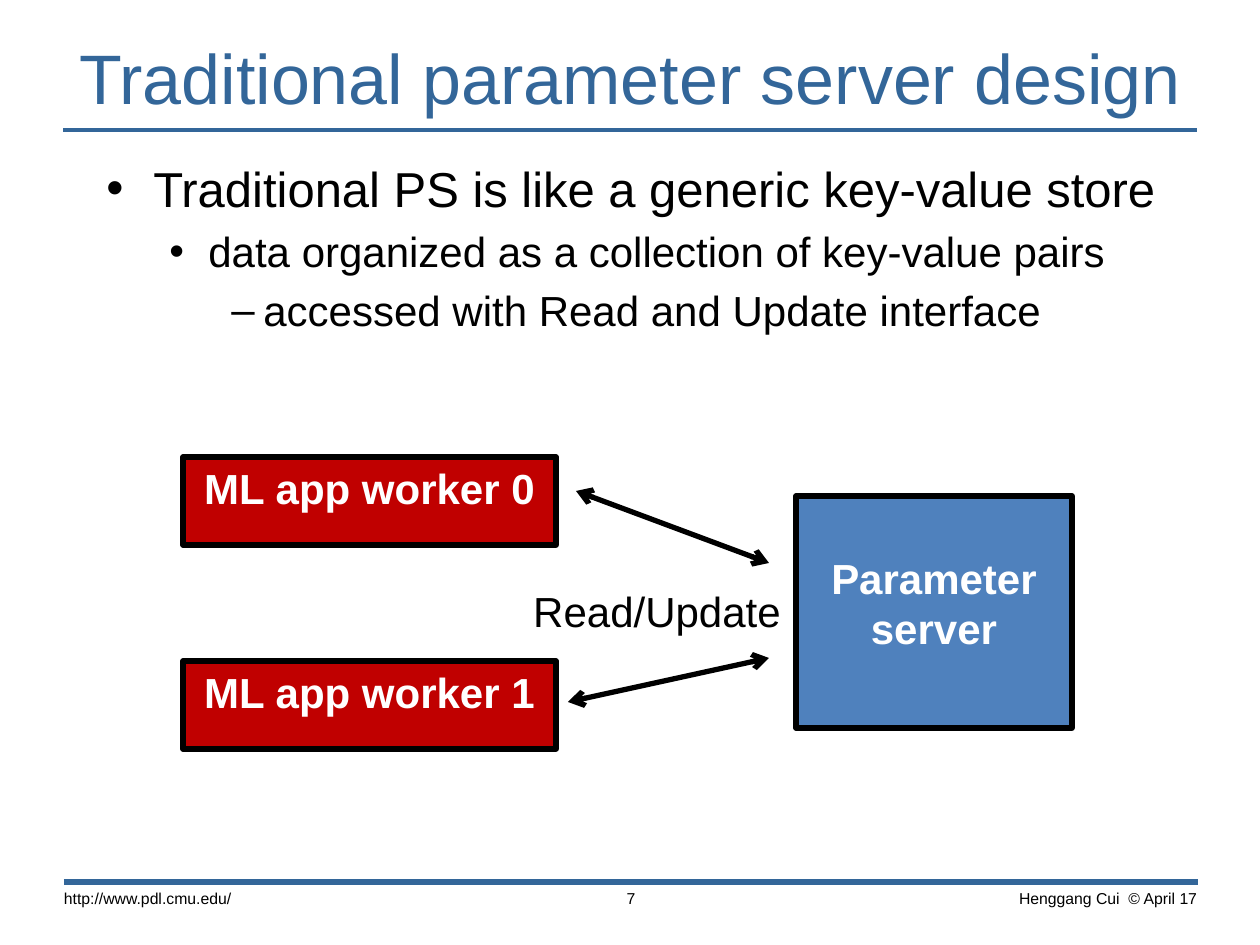
"""Build a slide on the traditional parameter server design."""
from lxml.etree import SubElement
from pptx import Presentation
from pptx.dml.color import RGBColor
from pptx.enum.shapes import MSO_CONNECTOR, MSO_SHAPE
from pptx.enum.text import MSO_ANCHOR, PP_ALIGN
from pptx.oxml.ns import qn
from pptx.util import Pt

SCALE = 914400 / 126
BLUE = RGBColor(0x33, 0x66, 0x99)
SERVER_BLUE = RGBColor(0x4F, 0x81, 0xBD)
RED = RGBColor(0xC0, 0x00, 0x00)
BLACK = RGBColor(0x00, 0x00, 0x00)
WHITE = RGBColor(0xFF, 0xFF, 0xFF)


def emu(*lengths):
    return [round(length * SCALE) for length in lengths]


def write(para, text, size, color, align=PP_ALIGN.LEFT, bold=False):
    para.alignment = align
    span = para.add_run()
    span.text = text
    span.font.color.rgb = color
    style = {"name": "Arial", "size": Pt(size), "bold": bold}
    for name, value in style.items():
        setattr(span.font, name, value)


deck = Presentation()
deck.slide_width, deck.slide_height = emu(1260, 945)
page = deck.slides.add_slide(deck.slide_layouts[6])

lines = [
    ((63, 130, 1197, 130), BLUE, 2, ()),
    ((64, 882, 1198, 882), BLUE, 3.5, ()),
    ((576, 491, 769, 563), BLACK, 3, ("headEnd", "tailEnd")),
    ((568, 702, 769, 658), BLACK, 3, ("headEnd", "tailEnd")),
]
for ends, color, width, arrows in lines:
    line = page.shapes.add_connector(MSO_CONNECTOR.STRAIGHT, *emu(*ends))
    line.line.color.rgb = color
    line.line.width = Pt(width)
    for arrow in arrows:
        SubElement(line.line._get_or_add_ln(), qn(f"a:{arrow}"), type="arrow")
    SubElement(line._element.spPr, qn("a:effectLst"))

labels = [
    ("Traditional parameter server design", (0, 29, 1260, 94), 40, BLUE,
     PP_ALIGN.CENTER, MSO_ANCHOR.MIDDLE, (13, 6)),
    ("http://www.pdl.cmu.edu/", (50, 881, 315, 53), 9, BLACK,
     PP_ALIGN.LEFT, MSO_ANCHOR.TOP, (14, 8)),
    ("7", (508, 881, 246, 29), 9, BLACK,
     PP_ALIGN.CENTER, MSO_ANCHOR.TOP, (14, 8)),
    ("Henggang Cui  © April 17", (891, 881, 320, 53), 9, BLACK,
     PP_ALIGN.RIGHT, MSO_ANCHOR.TOP, (14, 8)),
    ("Read/Update", (493, 580, 328, 63), 24, BLACK,
     PP_ALIGN.CENTER, MSO_ANCHOR.TOP, (13, 6)),
]
for text, place, size, color, align, anchor, (side, edge) in labels:
    frame = page.shapes.add_textbox(*emu(*place)).text_frame
    margins = emu(side, side, edge, edge)
    layout = dict(zip(("margin_left", "margin_right", "margin_top", "margin_bottom"), margins))
    layout |= {"word_wrap": True, "vertical_anchor": anchor}
    for name, value in layout.items():
        setattr(frame, name, value)
    write(frame.paragraphs[0], text, size, color, align)

body = page.shapes.add_textbox(*emu(94, 152, 1116, 640)).text_frame
body.word_wrap = True
points = [
    ("Traditional PS is like a generic key-value store", 28, "•", 47, 47),
    ("data organized as a collection of key-value pairs", 24, "•", 102, 39),
    ("accessed with Read and Update interface", 24, "–", 157, 32),
]
for level, (text, size, bullet, indent, hang) in enumerate(points):
    para = body.add_paragraph() if level else body.paragraphs[0]
    para.level = level
    if level:
        para.space_before = Pt(5)
    properties = para._p.get_or_add_pPr()
    margin, first = emu(indent, -hang)
    properties.set("marL", str(margin))
    properties.set("indent", str(first))
    SubElement(properties, qn("a:buFont"), typeface="Arial")
    SubElement(properties, qn("a:buChar"), char=bullet)
    write(para, text, size, BLACK)

boxes = [
    ("Parameter server", (796, 496, 276, 232), SERVER_BLUE, 56),
    ("ML app worker 0", (183, 457, 373, 88), RED, 6),
    ("ML app worker 1", (183, 661, 373, 88), RED, 6),
]
for text, place, color, top in boxes:
    box = page.shapes.add_shape(MSO_SHAPE.RECTANGLE, *emu(*place))
    box.shadow.inherit = False
    box.fill.solid()
    box.fill.fore_color.rgb = color
    box.line.color.rgb = BLACK
    box.line.width = Pt(3)
    frame = box.text_frame
    frame.word_wrap = True
    frame.vertical_anchor = MSO_ANCHOR.TOP
    frame.margin_top, = emu(top)
    write(frame.paragraphs[0], text, 24, WHITE, PP_ALIGN.CENTER, True)

deck.save("out.pptx")
